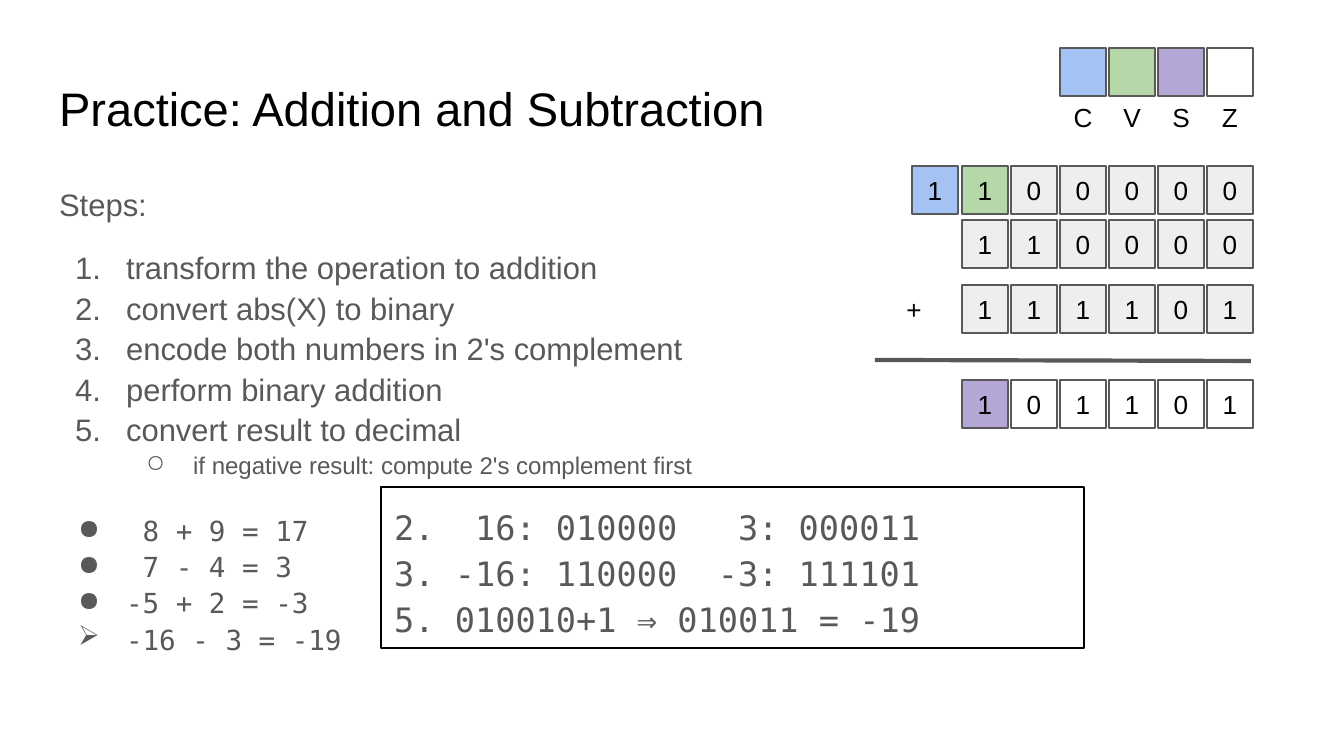
import pptx
import pptx.util
import pptx.dml.color
import pptx.enum.shapes
import pptx.enum.text
import pptx.oxml.ns
from lxml import etree

SCALE = 914400 / 134.4  # EMU per px
COLORS = {
    "white": "FFFFFF", "black": "000000", "text": "595959", "bit": "EEEEEE",
    "carry": "A4C2F4", "overflow": "B6D7A8", "sign": "B4A7D6",
}
SANS, MONO = "Arial", "DejaVu Sans Mono"
CELL_W, CELL_H = 46, 48
FIRST_COL, PITCH = 962, 49


def px(n):
    return pptx.util.Emu(round(n * SCALE))


def rgb(name):
    return pptx.dml.color.RGBColor.from_string(COLORS[name])


def style(p, size, font, color):
    for r in p.runs:
        r.font.size = pptx.util.Pt(size)
        r.font.name = font
        r.font.color.rgb = rgb(color)


def set_frame(s, anchor=pptx.enum.text.MSO_ANCHOR.TOP):
    tf = s.text_frame
    tf.word_wrap = True
    tf.vertical_anchor = anchor
    tf.margin_left = tf.margin_right = tf.margin_top = tf.margin_bottom = pptx.util.Inches(0.1)
    return tf


def add_text(slide, x, y, w, h):
    return set_frame(slide.shapes.add_textbox(px(x), px(y), px(w), px(h)))


def add_rect(slide, x, y, w, h, fill=None, line=None):
    s = slide.shapes.add_shape(pptx.enum.shapes.MSO_SHAPE.RECTANGLE,
                               px(x), px(y), px(w), px(h))
    s.shadow.inherit = False
    if fill:
        s.fill.solid()
        s.fill.fore_color.rgb = rgb(fill)
    else:
        s.fill.background()
    if line:
        s.line.color.rgb = rgb(line)
        s.line.width = pptx.util.Pt(0.75)
    else:
        s.line.fill.background()
    return s


def add_cell(slide, x, y, text="", fill=None, line="text"):
    s = add_rect(slide, x, y, CELL_W, CELL_H, fill, line)
    tf = set_frame(s, pptx.enum.text.MSO_ANCHOR.MIDDLE)
    tf.text = text
    p = tf.paragraphs[0]
    p.alignment = pptx.enum.text.PP_ALIGN.CENTER
    style(p, 14, SANS, "black")


def add_bits(slide, y, bits, fill, first_fill=None):
    for i, bit in enumerate(bits):
        cell_fill = first_fill if first_fill and i == 0 else fill
        add_cell(slide, FIRST_COL + i * PITCH, y, bit, cell_fill)


def add_rule(slide, x1, y1, x2, y2):
    s = slide.shapes.add_connector(pptx.enum.shapes.MSO_CONNECTOR.STRAIGHT,
                                   px(x1), px(y1), px(x2), px(y2))
    s.line.color.rgb = rgb("text")
    s.line.width = pptx.util.Pt(2.25)
    etree.SubElement(s._element.spPr, pptx.oxml.ns.qn("a:effectLst"))


def set_bullet(p, char, margin, hang):
    """Give the paragraph a bullet character, or a number if char is '1.'."""
    qn = pptx.oxml.ns.qn
    pPr = p._p.get_or_add_pPr()
    pPr.set("marL", str(px(margin)))
    pPr.set("indent", str(px(-hang)))
    color = etree.SubElement(pPr, qn("a:buClr"))
    etree.SubElement(color, qn("a:srgbClr"), val=COLORS["text"])
    if char == "1.":
        etree.SubElement(pPr, qn("a:buAutoNum"), type="arabicPeriod")
    else:
        etree.SubElement(pPr, qn("a:buChar"), char=char)


def add_item(tf, text, char, size=16.6, font=SANS, margin=67, hang=51, before=0):
    p = tf.add_paragraph()
    p.text = text
    p.line_spacing = 1.09
    p.space_before = pptx.util.Pt(before)
    set_bullet(p, char, margin, hang)
    style(p, size, font, "text")
    return p


def add_steps(slide):
    tf = add_text(slide, 46, 169, 1253, 503)
    tf.text = "Steps:"
    p = tf.paragraphs[0]
    p.line_spacing = 1.09
    style(p, 16.6, SANS, "text")

    steps = ["transform the operation to addition", "convert abs(X) to binary",
             "encode both numbers in 2's complement", "perform binary addition",
             "convert result to decimal"]
    for i, step in enumerate(steps):
        add_item(tf, step, "1.", before=0 if i else 12)
    p = add_item(tf, "if negative result: compute 2's complement first", "○",
                 size=12.9, margin=134, hang=47)
    p.level = 1

    # Examples, the last one being worked out
    examples = [("●", " 8 + 9 = 17"), ("●", " 7 - 4 = 3"),
                ("●", "-5 + 2 = -3"), ("➢", "-16 - 3 = -19")]
    for i, (char, text) in enumerate(examples):
        add_item(tf, text, char, size=14.8, font=MONO, hang=48, before=0 if i else 17)


def add_solution(slide):
    s = add_rect(slide, 381, 487, 703, 161, line="black")
    tf = set_frame(s)
    p = tf.paragraphs[0]
    p.text = "\v".join(["2.  16: 010000   3: 000011",
                        "3. -16: 110000  -3: 111101",
                        "5. 010010+1 ⇒ 010011 = -19"])
    p.alignment = pptx.enum.text.PP_ALIGN.LEFT
    p.line_spacing = 1.15
    p.space_after = pptx.util.Pt(12)
    style(p, 18, MONO, "text")


def add_flags(slide):
    flags = [("C", "carry"), ("V", "overflow"), ("S", "sign"), ("Z", "white")]
    for i, (name, fill) in enumerate(flags, start=2):
        x = FIRST_COL + i * PITCH
        add_cell(slide, x, 48, fill=fill)
        add_cell(slide, x, 93, name, line=None)


def add_addition(slide):
    add_cell(slide, 912, 166, "1", "carry")
    add_bits(slide, 166, "100000", "bit", "overflow")
    add_bits(slide, 220, "110000", "bit")
    add_cell(slide, 891, 285, "+", "white", line=None)
    add_bits(slide, 285, "111101", "bit")
    add_rule(slide, 875, 360, 1251, 361)
    add_bits(slide, 380, "101101", "white", "sign")


def main():
    prs = pptx.Presentation()
    prs.slide_width, prs.slide_height = px(1344), px(756)
    slide = prs.slides.add_slide(prs.slide_layouts[6])

    # Title
    tf = add_text(slide, 46, 66, 1253, 85)
    tf.text = "Practice: Addition and Subtraction"
    style(tf.paragraphs[0], 25.2, SANS, "black")

    # Procedure and worked example
    add_steps(slide)
    add_solution(slide)

    # Status flags and column addition
    add_flags(slide)
    add_addition(slide)
    prs.save("out.pptx")


if __name__ == "__main__":
    main()
